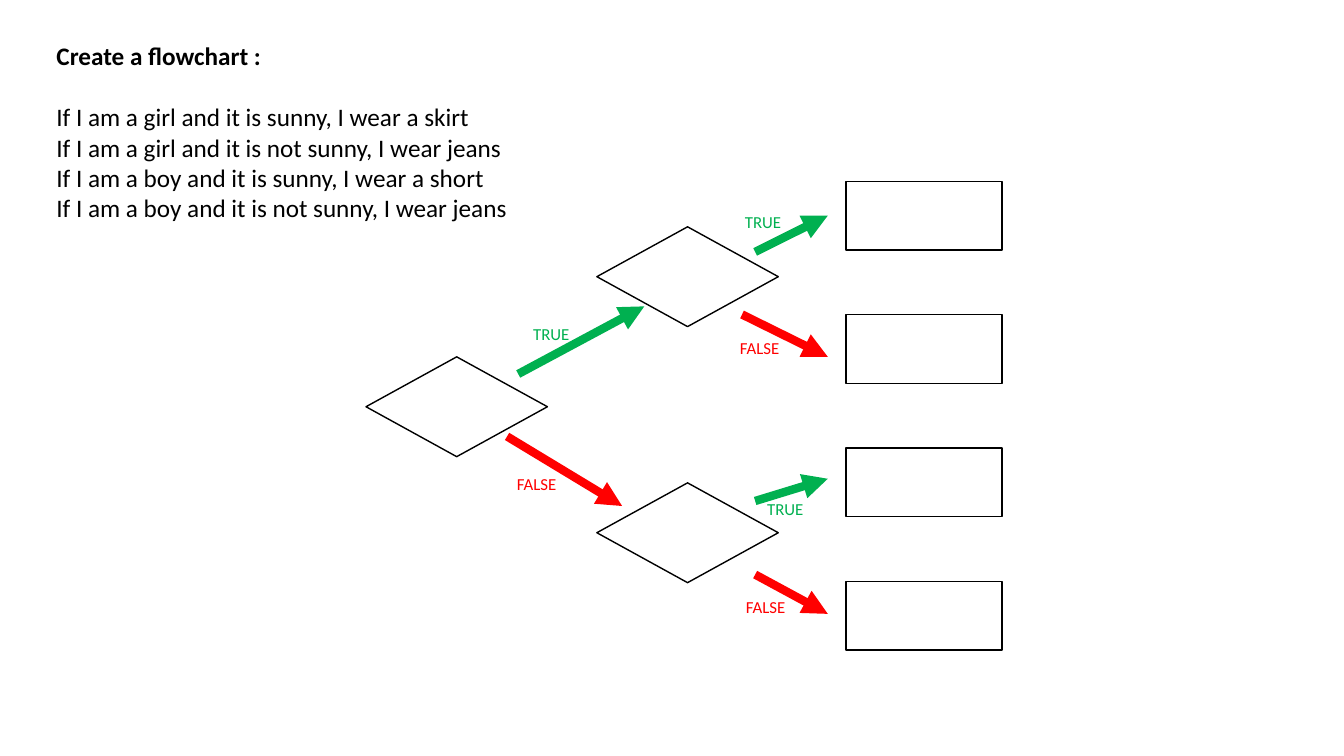
import pptx
import pptx.dml.color
import pptx.enum.shapes
import pptx.enum.text
import pptx.oxml.ns
import pptx.util
from lxml import etree

SLIDE_WIDTH, SLIDE_HEIGHT = 13.33, 7.5
# The slide is a grid of 100 columns by 100 rows; a box is left, top, width, height.
COLUMN = pptx.util.Inches(SLIDE_WIDTH / 100)
ROW = pptx.util.Inches(SLIDE_HEIGHT / 100)
TASK_BOX = (3.45, 4.67, 35.41, 25.6)
FLOWCHART_BOX = (27.23, 24, 47.34, 62)

TITLE = "Create a flowchart :"
RULES = [
    "If I am a girl and it is sunny, I wear a skirt",
    "If I am a girl and it is not sunny, I wear jeans",
    "If I am a boy and it is sunny, I wear a short",
    "If I am a boy and it is not sunny, I wear jeans",
]

SHAPES = pptx.enum.shapes.MSO_SHAPE
DECISION_SIZE = (13.5, 13.2)
OUTCOME_SIZE = (11.63, 9.07)
OUTCOME_COUNT = 4
DECISIONS = [(0, 23.2), (17.18, 6), (17.18, 39.87)]
ANSWERS = {"TRUE": ("00B050", 4.28), "FALSE": ("FF0000", 4.95)}  # colour, label width
LABEL_HEIGHT = 4
# Answer, arrow start, arrow end, label corner: all offsets inside the flowchart box
BRANCHES = [
    ("FALSE", (10.5, 33.73), (19.06, 42.93), (10.5, 38)),
    ("TRUE", (11.33, 25.47), (20.71, 16.53), (11.7, 18.13)),
    ("FALSE", (28.96, 52), (34.36, 57.2), (27.53, 54.27)),
    ("TRUE", (28.96, 42.27), (34.36, 39.33), (29.11, 41.33)),
    ("FALSE", (27.98, 17.6), (34.36, 23.2), (27.08, 20)),
    ("TRUE", (28.96, 9.33), (34.36, 4.53), (27.46, 3.33)),
]


def color(value):
    return pptx.dml.color.RGBColor.from_string(value)


def position(box, offset):
    return int((box[0] + offset[0]) * COLUMN), int((box[1] + offset[1]) * ROW)


def extent(size):
    return int(size[0] * COLUMN), int(size[1] * ROW)


def set_attributes(target, values):
    for name, value in values.items():
        setattr(target, name, value)


def format_font(font, size, value, bold=False):
    set_attributes(font, {"name": "Calibri", "size": pptx.util.Pt(size), "bold": bold})
    font.color.rgb = color(value)


def fill_placeholder(shape, box, lines, bold):
    """Place a title or list, one plain paragraph per line."""
    left, top = position(box, (0, 0))
    width, height = extent(box[2:])
    set_attributes(shape, {"left": left, "top": top, "width": width, "height": height})
    frame = shape.text_frame
    frame.text = "\n".join(lines)
    set_attributes(frame, {
        "word_wrap": False,
        "auto_size": pptx.enum.text.MSO_AUTO_SIZE.NONE,
        "vertical_anchor": pptx.enum.text.MSO_ANCHOR.TOP,
    })
    for paragraph in frame.paragraphs:
        properties = paragraph._p.get_or_add_pPr()
        properties.set("marL", "0")
        properties.set("indent", "0")
        etree.SubElement(properties, pptx.oxml.ns.qn("a:buNone"))
        set_attributes(paragraph, {
            "alignment": pptx.enum.text.PP_ALIGN.LEFT,
            "space_before": pptx.util.Pt(0),
        })
        format_font(paragraph.font, 18, "000000", bold)


def add_task(slide, box):
    """Heading with the list of rules below it."""
    left, top, width, height = box
    heading_height, list_offset = 5.4, 8.13
    fill_placeholder(slide.shapes.title, (left, top, width, heading_height), [TITLE], True)
    list_box = (left, top + list_offset, width, height - list_offset)
    fill_placeholder(slide.placeholders[1], list_box, RULES, False)


def add_node(slide, box, kind, offset, size):
    shape = slide.shapes.add_shape(kind, *position(box, offset), *extent(size))
    shape.shadow.inherit = False
    shape.fill.background()
    shape.line.color.rgb = color("000000")
    shape.line.width = pptx.util.Pt(1)


def add_arrow(slide, box, start, end, value):
    arrow = slide.shapes.add_connector(
        pptx.enum.shapes.MSO_CONNECTOR.STRAIGHT, *position(box, start), *position(box, end))
    arrow.line.color.rgb = color(value)
    arrow.line.width = pptx.util.Pt(6)
    qn = pptx.oxml.ns.qn
    etree.SubElement(arrow.line._get_or_add_ln(), qn("a:tailEnd"), type="triangle")
    etree.SubElement(arrow._element.spPr, qn("a:effectLst"))


def add_label(slide, box, offset, text, value, width):
    label = slide.shapes.add_textbox(*position(box, offset), *extent((width, LABEL_HEIGHT)))
    label.text_frame.word_wrap = False
    paragraph = label.text_frame.paragraphs[0]
    paragraph.text = text
    format_font(paragraph.font, 12, value)


def add_flowchart(slide, box):
    """Decisions, evenly spaced outcomes and the branches between them."""
    for offset in DECISIONS:
        add_node(slide, box, SHAPES.FLOWCHART_DECISION, offset, DECISION_SIZE)

    outcome_width, outcome_height = OUTCOME_SIZE
    outcome_left = box[2] - outcome_width
    pitch = (box[3] - outcome_height) / (OUTCOME_COUNT - 1)
    for index in range(OUTCOME_COUNT):
        add_node(slide, box, SHAPES.RECTANGLE, (outcome_left, index * pitch), OUTCOME_SIZE)

    for answer, start, end, label_offset in BRANCHES:
        value, label_width = ANSWERS[answer]
        add_arrow(slide, box, start, end, value)
        add_label(slide, box, label_offset, answer, value, label_width)


def main():
    presentation = pptx.Presentation()
    presentation.slide_width = pptx.util.Inches(SLIDE_WIDTH)
    presentation.slide_height = pptx.util.Inches(SLIDE_HEIGHT)
    slide = presentation.slides.add_slide(presentation.slide_layouts[1])
    add_task(slide, TASK_BOX)
    add_flowchart(slide, FLOWCHART_BOX)
    presentation.save("out.pptx")


if __name__ == "__main__":
    main()
